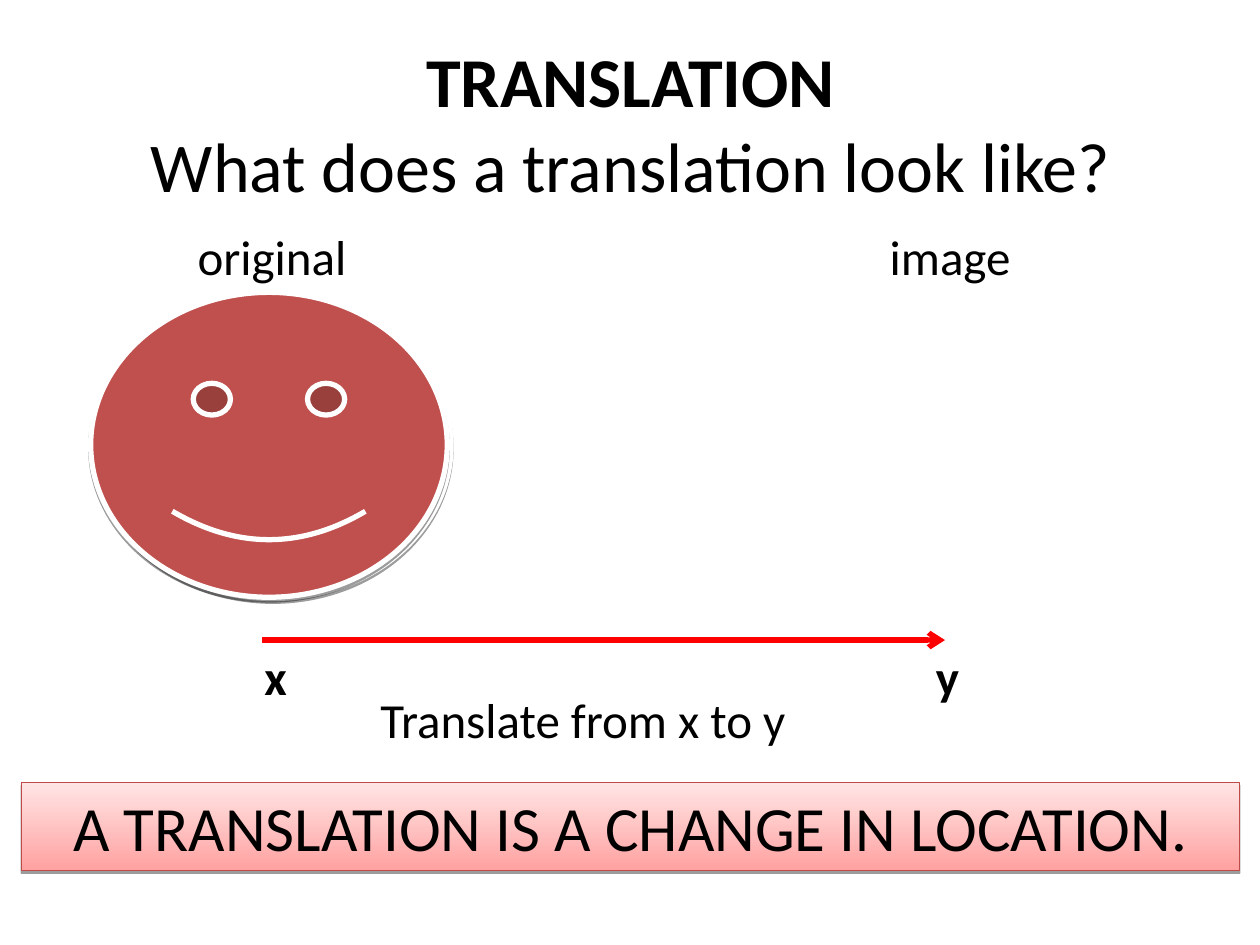
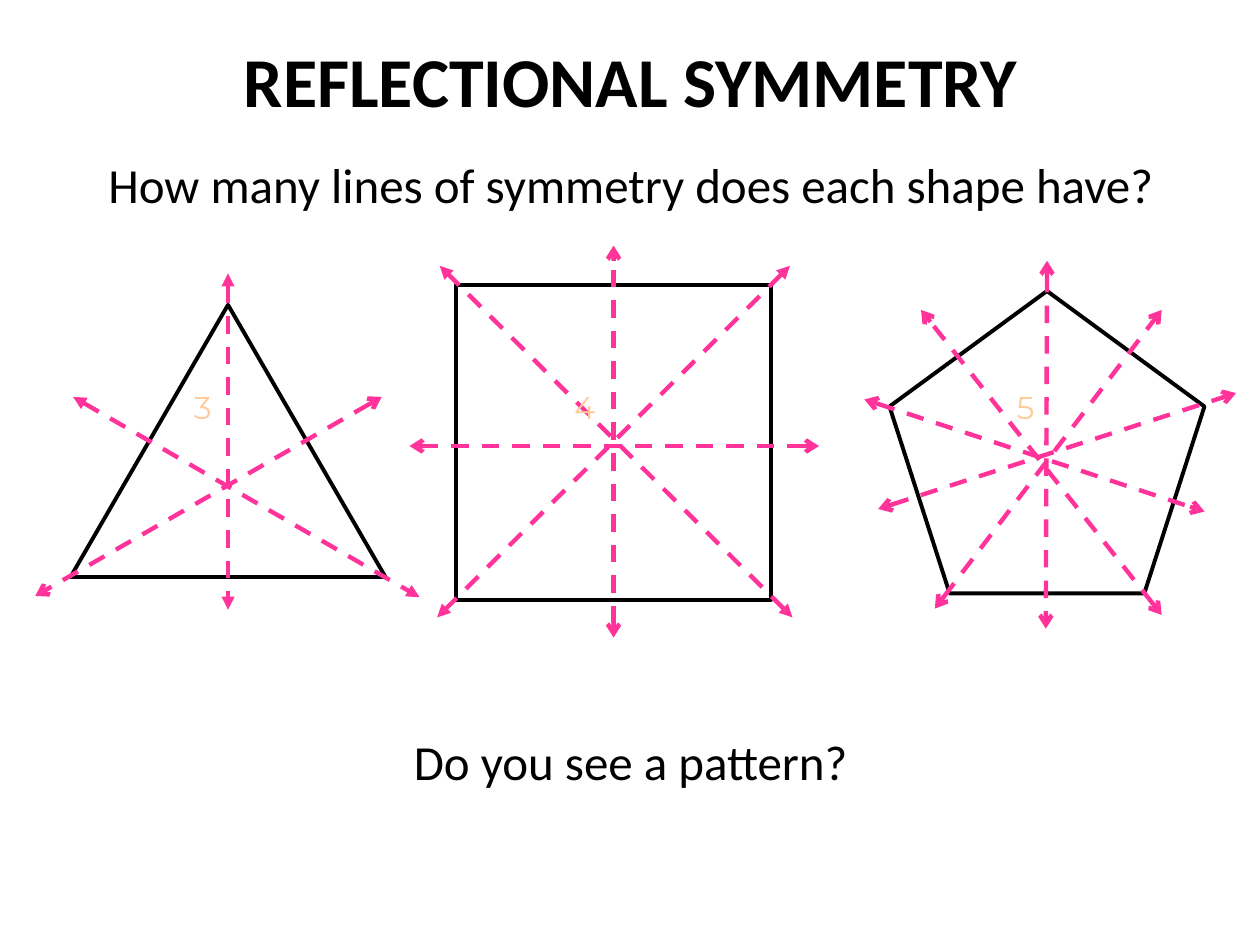
import pptx
import pptx.dml.color
import pptx.enum.dml
import pptx.enum.shapes
import pptx.enum.text
import pptx.oxml
import pptx.oxml.ns
import pptx.util

Inches = pptx.util.Inches
Pt = pptx.util.Pt
KIND = pptx.enum.shapes.MSO_SHAPE
ALIGN = pptx.enum.text.PP_ALIGN
NS = pptx.oxml.ns.nsdecls("a")

BLACK, WHITE, RED = "000000", "FFFFFF", "FF0000"
FACE, EDGE, PINK, PEACH = "C0504D", "BE4B48", "FF3399", "FFCC99"
LEFT, WIDE = 0.17, 9.67
TITLE, BODY = 40, 28

# Each figure: outline, box, digit and its left edge, axes as (x1, y1, x2, y2, head)
FIGURES = [
    (KIND.ISOSCELES_TRIANGLE, (0.56, 2.42, 2.5, 2.16), "3", 1.44, [
        (1.81, 2.17, 1.81, 4.84, "triangle"),
        (3.03, 3.15, 0.28, 4.73, "arrow"),
        (0.58, 3.15, 3.33, 4.74, "triangle")]),
    (KIND.RECTANGLE, (3.62, 2.26, 2.5, 2.5), "4", 4.46, [
        (6.29, 4.9, 3.49, 2.11, "triangle"),
        (6.27, 2.11, 3.47, 4.9, "triangle"),
        (6.5, 3.54, 3.25, 3.54, "arrow"),
        (4.87, 5.06, 4.87, 1.95, "arrow")]),
    (KIND.REGULAR_PENTAGON, (7.06, 2.31, 2.5, 2.4), "5", 7.97, [
        (8.31, 2.07, 8.3, 4.99, "arrow"),
        (6.86, 3.17, 9.56, 4.06, "arrow"),
        (7.42, 4.83, 9.22, 2.46, "arrow"),
        (9.22, 4.88, 7.31, 2.46, "arrow"),
        (6.97, 4.04, 9.81, 3.12, "arrow")]),
]


def color(code):
    return pptx.dml.color.RGBColor.from_string(code)


def write(frame, words, size, bold=False, align=ALIGN.CENTER,
          face="Calibri", ink=BLACK):
    para = frame.paragraphs[0]
    para.text = words
    para.alignment = align
    font = para.font
    font.name, font.size, font.bold = face, Pt(size), bold
    font.color.rgb = color(ink)


def label(slide, words, left, top, width, size=BODY, wrap=True, **style):
    """Add a text box one line high."""
    high = size / 60 + 0.1
    box = slide.shapes.add_textbox(
        Inches(left), Inches(top), Inches(width), Inches(high))
    box.text_frame.word_wrap = wrap
    write(box.text_frame, words, size, **style)


def title(slide, words):
    label(slide, words, LEFT, 0.25, WIDE, TITLE, bold=True)


def shape(slide, kind, box, edge, weight, fill=None):
    item = slide.shapes.add_shape(kind, *map(Inches, box))
    item.shadow.inherit = False
    if fill:
        item.fill.solid()
        item.fill.fore_color.rgb = color(fill)
    else:
        item.fill.background()
    item.line.color.rgb = color(edge)
    item.line.width = Pt(weight)
    return item


def shade(item):
    """Drop a hard grey shadow just below the shape."""
    effect = item._element.spPr.find(pptx.oxml.ns.qn("a:effectLst"))
    effect.append(pptx.oxml.parse_xml(
        f'<a:outerShdw {NS} dist="20000" dir="5400000" rotWithShape="0">'
        f'<a:srgbClr val="{BLACK}"><a:alpha val="38000"/></a:srgbClr>'
        '</a:outerShdw>'))


def arrow(slide, ends, ink, weight, head=None, tail="arrow", dash=False):
    line = slide.shapes.add_connector(
        pptx.enum.shapes.MSO_CONNECTOR.STRAIGHT, *map(Inches, ends))
    line.line.color.rgb = color(ink)
    line.line.width = Pt(weight)
    if dash:
        line.line.dash_style = pptx.enum.dml.MSO_LINE.DASH
    stroke = line.line._get_or_add_ln()
    for tag, tip in (("headEnd", head), ("tailEnd", tail)):
        if tip:
            stroke.append(pptx.oxml.parse_xml(
                f'<a:{tag} {NS} type="{tip}"/>'))
    line._element.spPr.append(pptx.oxml.parse_xml(f"<a:effectLst {NS}/>"))


def banner(slide, words):
    bar = shape(slide, KIND.RECTANGLE, (LEFT, 6.21, WIDE, 0.7), EDGE, 0.75)
    bar.fill.gradient()
    bar.fill.gradient_angle = 90
    for stop, code in zip(bar.fill.gradient_stops, ("FFA2A1", "FFE5E5")):
        stop.color.rgb = color(code)
    shade(bar)
    bar.text_frame.word_wrap = True
    write(bar.text_frame, words, 36)


def shift(slide):
    """Fill the slide on translation."""
    for left, top in ((0.75, 2.33), (0.72, 2.32)):
        shade(shape(slide, KIND.SMILEY_FACE, (left, top, 2.83, 2.42),
                    WHITE, 3, FACE))
    title(slide, "TRANSLATION")
    label(slide, "What does a translation look like?", LEFT, 0.92, WIDE, TITLE)
    banner(slide, "A TRANSLATION IS A CHANGE IN LOCATION.")
    arrow(slide, (2.08, 5.08, 7.5, 5.08), RED, 3)
    for name, left in (("x", 2), ("y", 7.33)):
        label(slide, name, left, 5.08, 0.33, bold=True, align=ALIGN.LEFT)
    label(slide, "Translate from x to y", 2.92, 5.42, 3.83, align=ALIGN.LEFT)
    label(slide, "original", 1.47, 1.75, 1.42, align=ALIGN.LEFT)
    label(slide, "image", 6.83, 1.75, 1.42)


def mirror(slide):
    """Fill the slide on lines of symmetry."""
    title(slide, "REFLECTIONAL SYMMETRY")
    label(slide, "How many lines of symmetry does each shape have?",
          LEFT, 1.18, WIDE)
    for kind, box, count, left, axes in FIGURES:
        shape(slide, kind, box, BLACK, 2.25)
        for *ends, tip in axes:
            arrow(slide, ends, PINK, 2.5, tip, tip, dash=True)
        label(slide, count, left, 3.03, 0.67, 18, wrap=False,
              align=ALIGN.LEFT, face="Montserrat", ink=PEACH)
    label(slide, "Do you see a pattern?", LEFT, 5.76, WIDE)


def main():
    deck = pptx.Presentation()
    deck.slide_width, deck.slide_height = Inches(10), Inches(7.5)
    for fill in (shift, mirror):
        fill(deck.slides.add_slide(deck.slide_layouts[6]))
    deck.save("out.pptx")


if __name__ == "__main__":
    main()
